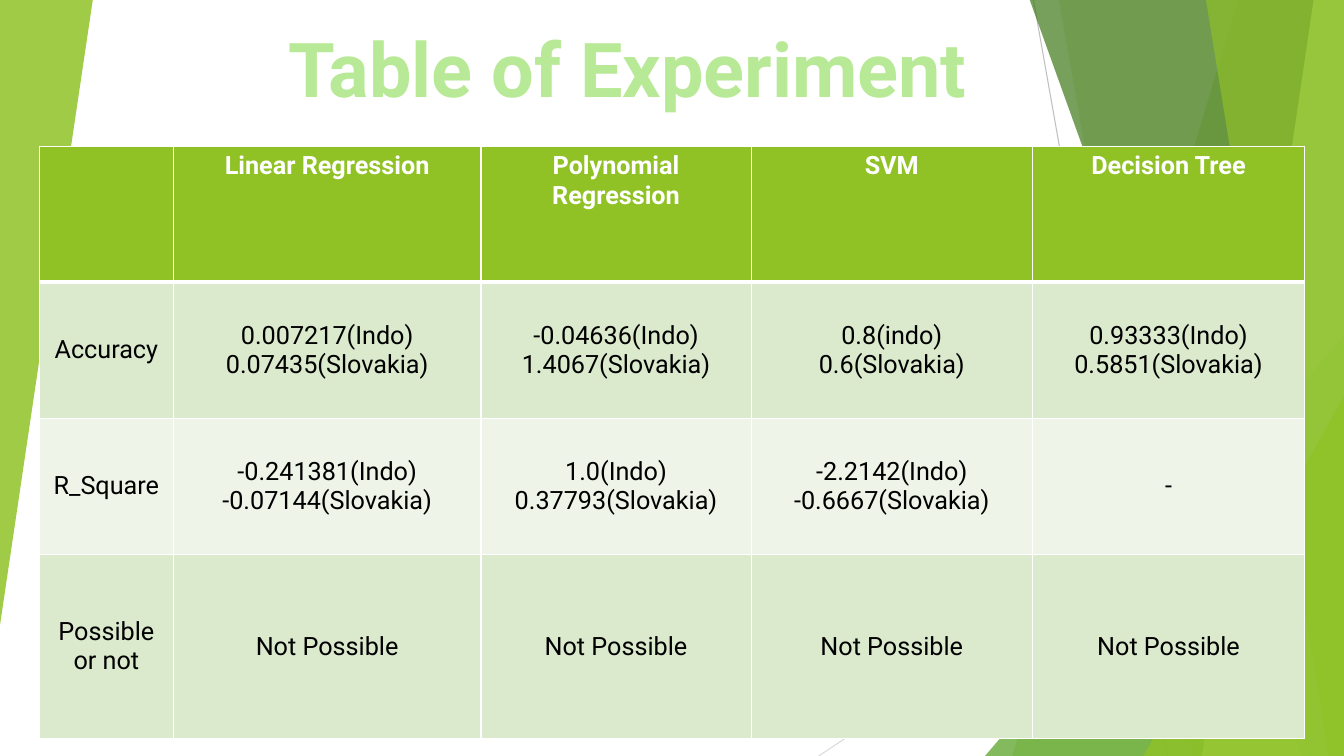
from lxml import etree
from pptx import Presentation
from pptx.dml.color import RGBColor
from pptx.enum.shapes import MSO_CONNECTOR, MSO_SHAPE
from pptx.enum.text import MSO_ANCHOR, MSO_AUTO_SIZE, PP_ALIGN
from pptx.oxml.ns import qn
from pptx.util import Inches, Pt

STRAIGHT, TRIANGLE = MSO_CONNECTOR.STRAIGHT, MSO_SHAPE.ISOSCELES_TRIANGLE
TOP, MIDDLE, CENTER = MSO_ANCHOR.TOP, MSO_ANCHOR.MIDDLE, PP_ALIGN.CENTER
FIT_SHAPE = MSO_AUTO_SIZE.SHAPE_TO_FIT_TEXT

WHITE, BLACK = RGBColor(255, 255, 255), RGBColor(0, 0, 0)
LIME, GREEN = RGBColor(0x90, 0xC2, 0x26), RGBColor(0x54, 0xA0, 0x21)
FOREST, PALE_LIME = RGBColor(0x3F, 0x78, 0x19), RGBColor(0xC0, 0xE4, 0x74)
MINT = RGBColor(0xB7, 0xE9, 0x96)
BAND_DARK, BAND_LIGHT = RGBColor(0xDB, 0xE9, 0xCD), RGBColor(0xEE, 0xF4, 0xE8)
GRAY, LIGHT_GRAY = RGBColor(0xBF, 0xBF, 0xBF), RGBColor(0xD9, 0xD9, 0xD9)
FONT = "Roboto"
W, H, EDGE = 13.33, 7.5, -0.01

TITLE = "Table of Experiment"
ROWS = [
    ["", "Linear Regression", "Polynomial Regression", "SVM", "Decision Tree"],
    ["Accuracy", "0.007217(Indo)\n0.07435(Slovakia)", "-0.04636(Indo)\n1.4067(Slovakia)",
     "0.8(indo)\n0.6(Slovakia)", "0.93333(Indo)\n0.5851(Slovakia)"],
    ["R_Square", "-0.241381(Indo)\n-0.07144(Slovakia)", "1.0(Indo)\n0.37793(Slovakia)",
     "-2.2142(Indo)\n-0.6667(Slovakia)", "-"],
    ["Possible or not"] + ["Not Possible"] * 4,
]
COL_WIDTHS = [1.33, 3.05, 2.68, 2.79, 2.7]
ROW_HEIGHTS = [1.35, 1.35, 1.35, 1.83]

LINES = [((10.25, 0), (11.58, H), GRAY), ((W, 4.03), (8.12, H), LIGHT_GRAY)]
# Facets in stacking order: bands give top and bottom x, triangles give a box
FACETS = [
    ("band", (12.28, 10.04), LIME, 30),
    ("band", (10.5, 11.83), LIME, 20),
    ("triangle", (9.77, 3.33, 3.56, 4.17, 0), GREEN, 72),
    ("band", (10.21, 12.91), FOREST, 70),
    ("band", (13.03, 11.92), PALE_LIME, 70),
    ("band", (11.96, 13.18), LIME, 65),
    ("triangle", (11.34, 3.93, 1.99, 3.57, 0), LIME, 80),
    ("triangle", (0, 0, 0.92, 6.2, 180), LIME, 85),
]


def add_solid(parent, color):
    """Append a solid fill to an XML element."""
    fill = etree.SubElement(parent, qn("a:solidFill"))
    etree.SubElement(fill, qn("a:srgbClr"), val=str(color))


def add_line(s, start, end, color):
    """Draw a thin straight line without a shadow."""
    line = s.shapes.add_connector(STRAIGHT, *map(Inches, start + end))
    line.line.color.rgb = color
    line.line.width = Pt(0.75)
    etree.SubElement(line._element.spPr, qn("a:effectLst"))


def add_facet(s, kind, geometry, color, opacity):
    """Draw one translucent band or right triangle."""
    if kind == "band":
        top, bottom = geometry
        outline = s.shapes.build_freeform(Inches(top), Inches(EDGE))
        corners = [(W, EDGE), (W, H), (bottom, H)]
        outline.add_line_segments([(Inches(x), Inches(y)) for x, y in corners])
        sp = outline.convert_to_shape()
    else:
        *box, turn = geometry
        sp = s.shapes.add_shape(TRIANGLE, *map(Inches, box))
        sp.adjustments[0] = 1
        sp.rotation = turn
    sp.shadow.inherit = False
    sp.line.fill.background()
    sp.fill.solid()
    sp.fill.fore_color.rgb = color
    rgb = sp._element.spPr.find(".//" + qn("a:srgbClr"))
    etree.SubElement(rgb, qn("a:alpha"), val=str(opacity * 1000))


def write_text(tf, text, size=18, color=BLACK, bold=False, outline=None):
    """Fill a text frame with one centred paragraph per line of text."""
    for i, words in enumerate(text.split("\n")):
        p = tf.add_paragraph() if i else tf.paragraphs[0]
        p.alignment = CENTER
        if not words:
            p.font.size = Pt(size)
            continue
        r = p.add_run()
        r.text = words
        r.font.name, r.font.size, r.font.bold = FONT, Pt(size), bold
        r.font.color.rgb = color
        if outline:
            ln = etree.Element(qn("a:ln"), w=str(Pt(1.75)))
            add_solid(ln, outline)
            r._r.get_or_add_rPr().insert(0, ln)


def set_borders(cell, bottom, top):
    """Put white borders round a cell, ahead of its fill."""
    tc_pr = cell._tc.get_or_add_tcPr()
    widths = {"L": 1, "R": 1, "T": top, "B": bottom}
    for i, (side, width) in enumerate(widths.items()):
        ln = etree.Element(qn("a:ln" + side), w=str(Pt(width)))
        add_solid(ln, WHITE)
        tc_pr.insert(i, ln)


def add_results(s):
    """Build the table of results with a header and banded rows."""
    frame = s.shapes.add_table(len(ROWS), len(COL_WIDTHS), Inches(0.39), Inches(1.45),
                               Inches(sum(COL_WIDTHS)), Inches(sum(ROW_HEIGHTS)))
    table = frame.table
    for column, width in zip(table.columns, COL_WIDTHS):
        column.width = Inches(width)
    for i, (row, height) in enumerate(zip(ROWS, ROW_HEIGHTS)):
        table.rows[i].height = Inches(height)
        header = i == 0
        fill = LIME if header else BAND_DARK if i % 2 else BAND_LIGHT
        for j, text in enumerate(row):
            cell = table.cell(i, j)
            cell.fill.solid()
            cell.fill.fore_color.rgb = fill
            cell.vertical_anchor = TOP if header else MIDDLE
            set_borders(cell, bottom=3 if header else 1, top=3 if i == 1 else 1)
            write_text(cell.text_frame, text, color=WHITE if header else BLACK, bold=header)


prs = Presentation()
prs.slide_width, prs.slide_height = Inches(W), Inches(H)
s = prs.slides.add_slide(prs.slide_layouts[6])
for line in LINES:
    add_line(s, *line)
for facet in FACETS:
    add_facet(s, *facet)
add_results(s)
title = s.shapes.add_textbox(Inches(2.55), Inches(0.17), Inches(7.35), Inches(1.01))
title.text_frame.word_wrap = False
title.text_frame.auto_size = FIT_SHAPE
write_text(title.text_frame, TITLE, size=54, color=MINT, bold=True, outline=GREEN)
prs.save("out.pptx")
